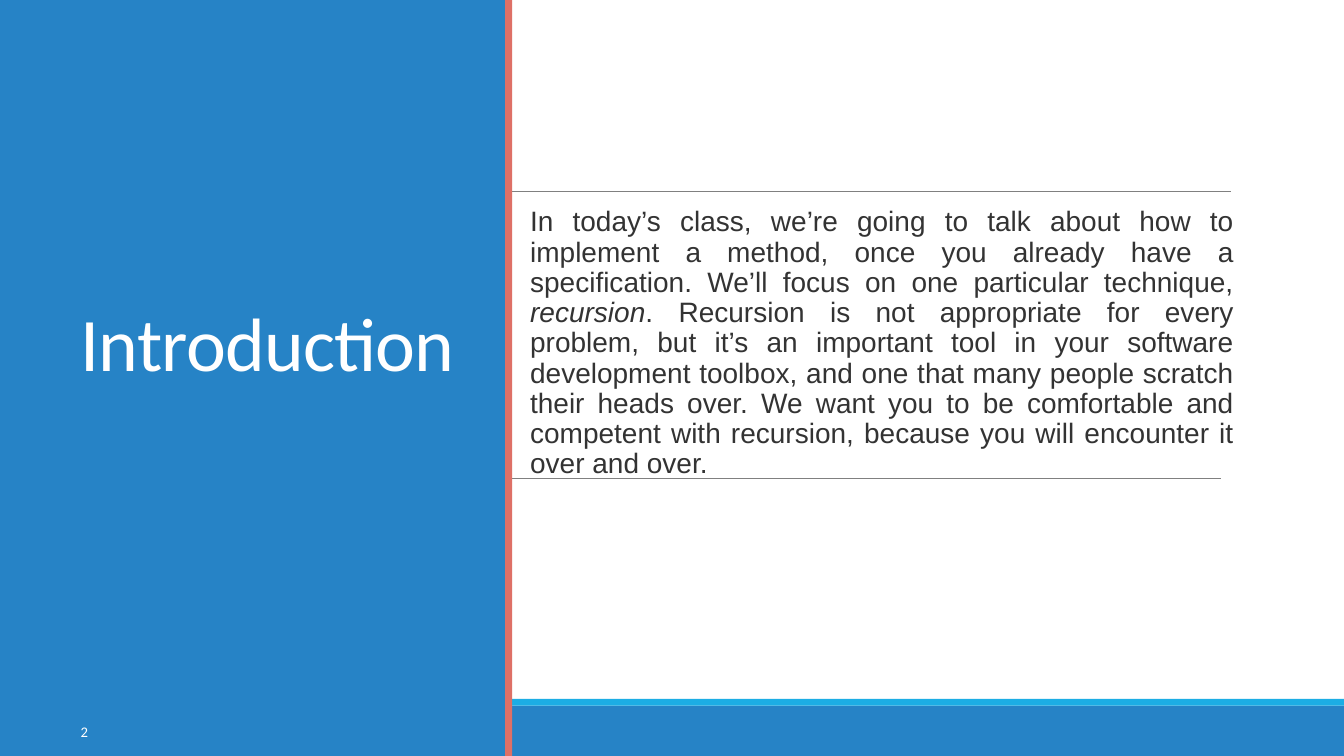
"""Build the introduction slide of a class on recursion."""
from lxml.etree import SubElement
from pptx import Presentation
from pptx.dml.color import RGBColor
from pptx.enum.shapes import MSO_CONNECTOR, MSO_SHAPE
from pptx.enum.text import MSO_ANCHOR, MSO_AUTO_SIZE, PP_ALIGN
from pptx.oxml.ns import qn
from pptx.util import Cm, Pt

COLORS = {"blue": "2683C6", "cyan": "1CADE4", "coral": "DE7066",
          "rule": "808080", "white": "FFFFFF", "ink": "333333"}

WIDTH, HEIGHT = 33.87, 19.05
PANEL_WIDTH, STRIP_WIDTH = 12.73, 0.18
FOOTER_TOP, ACCENT_HEIGHT = 17.78, 0.17

BANDS = [
    ("blue", 0, FOOTER_TOP, WIDTH, HEIGHT - FOOTER_TOP),
    ("cyan", 0, FOOTER_TOP - ACCENT_HEIGHT, WIDTH, ACCENT_HEIGHT),
    ("blue", 0, 0, PANEL_WIDTH, HEIGHT),
    ("coral", PANEL_WIDTH, 0, STRIP_WIDTH, HEIGHT),
]
RULES = [(3.33, 31.01, 4.82), (3.35, 30.78, 12.06)]

TEXTS = [
    {"area": (1.78, 1.78, 9.96, 8.1),
     "spans": [("Introduction", False)],
     "frame": {"vertical_anchor": MSO_ANCHOR.BOTTOM},
     "para": {"line_spacing": 0.85},
     "font": {"name": "Calibri", "size": Pt(54)},
     "color": "white", "tracking": -50},
    {"area": (1.78, 17.93, 2.06, 1.02),
     "spans": [("2", False)],
     "frame": {"vertical_anchor": MSO_ANCHOR.MIDDLE},
     "para": {"space_after": Pt(6)},
     "font": {"name": "Calibri", "size": Pt(10.5)},
     "color": "white", "tracking": 0},
    {"area": (13.11, 5.11, 18.24, 7.19),
     "spans": [
         ("In today’s class, we’re going to talk about how to implement a method, "
          "once you already have a specification. We’ll focus on one particular "
          "technique, ", False),
         ("recursion", True),
         (". Recursion is not appropriate for every problem, but it’s an important "
          "tool in your software development toolbox, and one that many people "
          "scratch their heads over. We want you to be comfortable and competent "
          "with recursion, because you will encounter it over and over.", False)],
     "frame": {"auto_size": MSO_AUTO_SIZE.SHAPE_TO_FIT_TEXT},
     "para": {"alignment": PP_ALIGN.JUSTIFY, "line_spacing": 0.9},
     "font": {"name": "Arial", "size": Pt(20)},
     "color": "ink", "tracking": 0},
]


def color(name):
    """Return the named colour."""
    return RGBColor.from_string(COLORS[name])


def assign(target, values):
    """Set every attribute in a dict of format values."""
    for name, value in values.items():
        setattr(target, name, value)


def add_band(page, fill, *area):
    """Add a plain filled rectangle."""
    band = page.shapes.add_shape(MSO_SHAPE.RECTANGLE, *map(Cm, area))
    band.shadow.inherit = False
    band.fill.solid()
    band.fill.fore_color.rgb = color(fill)
    band.line.fill.background()


def add_rule(page, left, right, top):
    """Add a thin horizontal line."""
    rule = page.shapes.add_connector(
        MSO_CONNECTOR.STRAIGHT, Cm(left), Cm(top), Cm(right), Cm(top))
    rule.line.color.rgb = color("rule")
    rule.line.width = Pt(0.5)
    SubElement(rule._element.spPr, qn("a:effectLst"))


def add_text(page, text):
    """Add a text box with one paragraph."""
    box = page.shapes.add_textbox(*map(Cm, text["area"]))
    assign(box.text_frame, {"word_wrap": True, **text["frame"]})
    para = box.text_frame.paragraphs[0]
    assign(para, text["para"])
    for words, italic in text["spans"]:
        span = para.add_run()
        span.text = words
        assign(span.font, {**text["font"], "italic": italic})
        span.font.color.rgb = color(text["color"])
        if text["tracking"]:
            span._r.get_or_add_rPr().set("spc", str(text["tracking"]))


def main():
    """Build and save the deck."""
    deck = Presentation()
    assign(deck, {"slide_width": Cm(WIDTH), "slide_height": Cm(HEIGHT)})
    page = deck.slides.add_slide(deck.slide_layouts[6])
    for rule in RULES:
        add_rule(page, *rule)
    for band in BANDS:
        add_band(page, *band)
    for text in TEXTS:
        add_text(page, text)
    deck.save("out.pptx")


if __name__ == "__main__":
    main()
